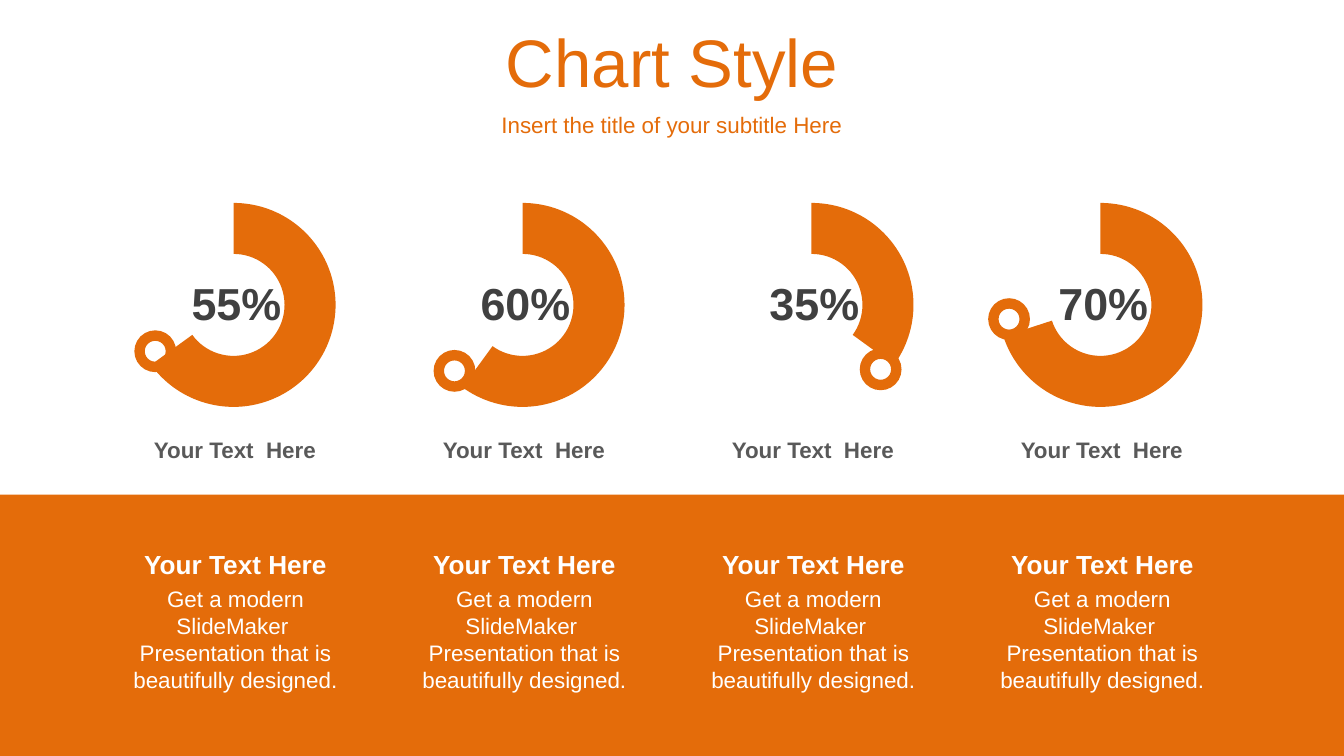
"""Build a slide of four doughnut charts above a band of captions."""
from dataclasses import dataclass

from lxml.etree import SubElement
from pptx import Presentation
from pptx.chart.data import CategoryChartData
from pptx.dml.color import RGBColor
from pptx.enum.chart import XL_CHART_TYPE
from pptx.enum.shapes import MSO_SHAPE
from pptx.enum.text import MSO_ANCHOR, MSO_AUTO_SIZE, PP_ALIGN
from pptx.oxml.ns import qn
from pptx.shapes.base import BaseShape
from pptx.slide import Slide
from pptx.util import Pt

ORANGE = RGBColor(0xE4, 0x6C, 0x0A)
WHITE = RGBColor(0xFF, 0xFF, 0xFF)
DARK_GRAY = RGBColor(0x40, 0x40, 0x40)
GRAY = RGBColor(0x59, 0x59, 0x59)
FONT = "Arial"
COLUMN_STEP = 154.8
KNOB_SIZE = 22.4
BODY = "Get a modern SlideMaker  Presentation that is beautifully designed."


@dataclass(frozen=True)
class Box:
    left: float
    top: float
    width: float
    height: float

    def in_column(self, column: int) -> "Box":
        return Box(self.left + column * COLUMN_STEP, self.top, self.width, self.height)

    def lengths(self) -> tuple[Pt, Pt, Pt, Pt]:
        return Pt(self.left), Pt(self.top), Pt(self.width), Pt(self.height)


@dataclass(frozen=True)
class Gauge:
    label: str
    value: int
    knob_left: float
    knob_top: float


@dataclass(frozen=True)
class Caption:
    text: str
    box: Box
    size: float
    color: RGBColor
    bold: bool = True


GAUGES = (
    Gauge("55%", 65, 72, 177),
    Gauge("60%", 60, 232.3, 187.5),
    Gauge("35%", 35, 460.6, 186.7),
    Gauge("70%", 70, 529.4, 159.8),
)
CHART_BOX = Box(65.5, 108.7, 121.7, 109.4)
PERCENT_BOX = Box(78.4, 144.3, 96.5, 36)
CAPTIONS = (
    Caption("Your Text  Here", Box(56.4, 229.9, 139, 21.8), 12, GRAY),
    Caption("Your Text Here", Box(58.2, 289.9, 136, 24.2), 14, WHITE),
    Caption(BODY, Box(58.2, 309.6, 136, 65.4), 12, WHITE, False),
)


def write_text(shape: BaseShape, text: str, *, size: float, color: RGBColor,
               bold: bool = False, grow: bool = False) -> None:
    frame = shape.text_frame
    frame.word_wrap = True
    frame.auto_size = MSO_AUTO_SIZE.SHAPE_TO_FIT_TEXT if grow else MSO_AUTO_SIZE.NONE
    frame.vertical_anchor = MSO_ANCHOR.MIDDLE
    paragraph = frame.paragraphs[0]
    paragraph.alignment = PP_ALIGN.CENTER
    run = paragraph.add_run()
    run.text = text
    run.font.name = FONT
    run.font.size = Pt(size)
    run.font.bold = bold
    run.font.color.rgb = color


def add_text(slide: Slide, box: Box, text: str, *, size: float, color: RGBColor,
             bold: bool = False, grow: bool = True) -> None:
    shape = slide.shapes.add_textbox(*box.lengths())
    write_text(shape, text, size=size, color=color, bold=bold, grow=grow)


def add_filled_shape(slide: Slide, kind: MSO_SHAPE, box: Box) -> None:
    shape = slide.shapes.add_shape(kind, *box.lengths())
    shape.shadow.inherit = False
    shape.fill.solid()
    shape.fill.fore_color.rgb = ORANGE
    shape.line.fill.background()


def add_doughnut(slide: Slide, box: Box, value: int) -> None:
    data = CategoryChartData()
    data.categories = ["1", "2"]
    data.add_series("Series 1", (value, 100 - value))
    chart = slide.shapes.add_chart(XL_CHART_TYPE.DOUGHNUT, *box.lengths(), data).chart
    chart.has_legend = False
    chart.has_title = False
    chart.font.name = FONT
    chart.font.size = Pt(18)
    chart.font.color.rgb = RGBColor(0, 0, 0)
    plot = chart.plots[0]
    plot.vary_by_categories = True
    filled, empty = (plot.series[0].points[index].format for index in range(2))
    filled.fill.solid()
    filled.fill.fore_color.rgb = ORANGE
    filled.line.fill.background()
    empty.fill.background()
    empty.line.fill.background()
    chart_space = chart.element
    chart_space.find(f".//{qn('c:holeSize')}").set("val", "80")
    set_plot_layout(chart_space.find(f".//{qn('c:plotArea')}"))


def set_plot_layout(plot_area) -> None:
    for layout in plot_area.findall(qn("c:layout")):
        plot_area.remove(layout)
    layout = SubElement(plot_area, qn("c:layout"))
    plot_area.insert(0, layout)
    manual = SubElement(layout, qn("c:manualLayout"))
    settings = {"layoutTarget": "inner", "xMode": "edge", "yMode": "edge",
                "x": "0.04", "y": "0", "w": "0.9", "h": "1"}
    for name, value in settings.items():
        SubElement(manual, qn(f"c:{name}")).set("val", value)


def main() -> None:
    presentation = Presentation()
    presentation.slide_width, presentation.slide_height = Pt(720), Pt(405)
    slide = presentation.slides.add_slide(presentation.slide_layouts[5])
    add_filled_shape(slide, MSO_SHAPE.RECTANGLE, Box(0, 265, 720, 140))

    title = slide.shapes.title
    title.left, title.top, title.width, title.height = Box(0, 10, 720, 45.4).lengths()
    write_text(title, "Chart Style", size=36, color=ORANGE)
    add_text(slide, Box(0, 55.4, 720, 22.3), "Insert the title of your subtitle Here",
             size=12, color=ORANGE, grow=False)

    for column, gauge in enumerate(GAUGES):
        add_doughnut(slide, CHART_BOX.in_column(column), gauge.value)
        add_text(slide, PERCENT_BOX.in_column(column), gauge.label,
                 size=24, color=DARK_GRAY, bold=True)
        for caption in CAPTIONS:
            add_text(slide, caption.box.in_column(column), caption.text,
                     size=caption.size, color=caption.color, bold=caption.bold)
        add_filled_shape(slide, MSO_SHAPE.DONUT,
                         Box(gauge.knob_left, gauge.knob_top, KNOB_SIZE, KNOB_SIZE))

    presentation.save("out.pptx")


if __name__ == "__main__":
    main()
